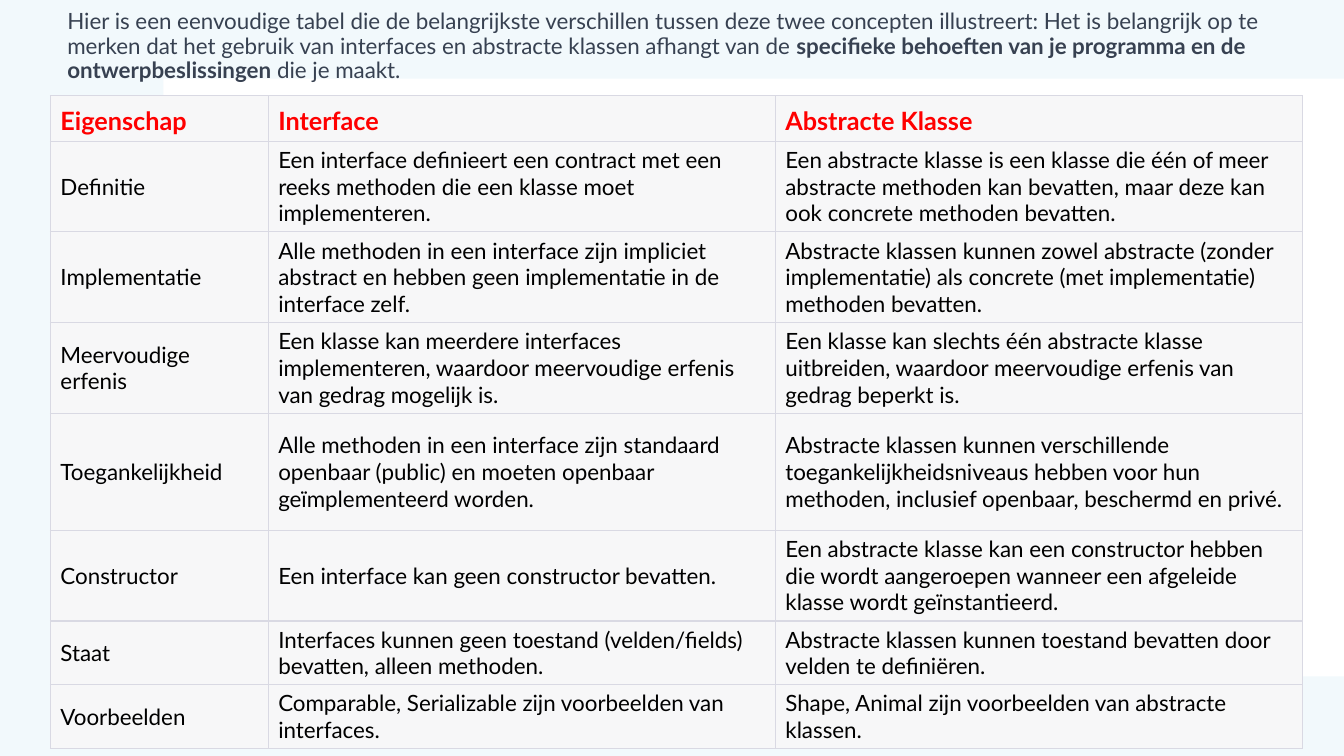
from lxml.etree import SubElement
from pptx import Presentation
from pptx.dml.color import RGBColor
from pptx.enum.shapes import MSO_SHAPE
from pptx.enum.text import MSO_ANCHOR
from pptx.oxml.ns import qn
from pptx.util import Inches, Pt

FONT = "Lato"
INTRO = [
    ("Hier is een eenvoudige tabel die de belangrijkste verschillen tussen deze twee "
     "concepten illustreert: Het is belangrijk op te merken dat het gebruik van "
     "interfaces en abstracte klassen afhangt van de ", False),
    ("specifieke behoeften van je programma en de ontwerpbeslissingen", True),
    (" die je maakt.", False),
]
COLUMN_WIDTHS = [2.16, 5.03, 5.23]
ROWS = [
    (0.45, "Eigenschap", "Interface", "Abstracte Klasse"),
    (0.9, "Definitie",
     "Een interface definieert een contract met een reeks methoden die een klasse "
     "moet implementeren.",
     "Een abstracte klasse is een klasse die één of meer abstracte methoden kan "
     "bevatten, maar deze kan ook concrete methoden bevatten."),
    (0.9, "Implementatie",
     "Alle methoden in een interface zijn impliciet abstract en hebben geen "
     "implementatie in de interface zelf.",
     "Abstracte klassen kunnen zowel abstracte (zonder implementatie) als concrete "
     "(met implementatie) methoden bevatten."),
    (0.9, "Meervoudige erfenis",
     "Een klasse kan meerdere interfaces implementeren, waardoor meervoudige erfenis "
     "van gedrag mogelijk is.",
     "Een klasse kan slechts één abstracte klasse uitbreiden, waardoor meervoudige "
     "erfenis van gedrag beperkt is."),
    (1.16, "Toegankelijkheid",
     "Alle methoden in een interface zijn standaard openbaar (public) en moeten "
     "openbaar geïmplementeerd worden.",
     "Abstracte klassen kunnen verschillende toegankelijkheidsniveaus hebben voor hun "
     "methoden, inclusief openbaar, beschermd en privé."),
    (0.9, "Constructor",
     "Een interface kan geen constructor bevatten.",
     "Een abstracte klasse kan een constructor hebben die wordt aangeroepen wanneer "
     "een afgeleide klasse wordt geïnstantieerd."),
    (0.63, "Staat",
     "Interfaces kunnen geen toestand (velden/fields) bevatten, alleen methoden.",
     "Abstracte klassen kunnen toestand bevatten door velden te definiëren."),
    (0.63, "Voorbeelden",
     "Comparable, Serializable zijn voorbeelden van interfaces.",
     "Shape, Animal zijn voorbeelden van abstracte klassen."),
]


def paint(fill, color):
    fill.solid()
    fill.fore_color.rgb = RGBColor.from_string(color)


def add_span(para, text, size=16, color="000000", bold=False):
    span = para.add_run()
    span.text = text
    span.font.name = FONT
    span.font.size = Pt(size)
    span.font.bold = bold
    span.font.color.rgb = RGBColor.from_string(color)


def add_panel(page, left, top, width, height, color, opacity=100):
    panel = page.shapes.add_shape(MSO_SHAPE.RECTANGLE, Inches(left), Inches(top),
                                  Inches(width), Inches(height))
    panel.shadow.inherit = False
    panel.line.fill.background()
    paint(panel.fill, color)
    if opacity < 100:
        tint = panel.fill._xPr.find(".//" + qn("a:srgbClr"))
        SubElement(tint, qn("a:alpha"), val=str(opacity * 1000))


def add_intro(page):
    box = page.shapes.add_textbox(Inches(0.57), Inches(-0.26), Inches(12.14), Inches(1.45))
    frame = box.text_frame
    frame.word_wrap = True
    frame.vertical_anchor = MSO_ANCHOR.MIDDLE
    para = frame.paragraphs[0]
    para.line_spacing = 0.9
    for text, bold in INTRO:
        add_span(para, text, color="374151", bold=bold)


def add_borders(cell, color, widths):
    """Draw the cell's sides; must run before the cell gets its fill."""
    properties = cell._tc.get_or_add_tcPr()
    for side, width in widths.items():
        line = SubElement(properties, qn("a:ln" + side), w=str(Pt(width)))
        SubElement(SubElement(line, qn("a:solidFill")), qn("a:srgbClr"), val=color)


def add_comparison(page):
    heights = [row[0] for row in ROWS]
    table = page.shapes.add_table(len(ROWS), len(COLUMN_WIDTHS), Inches(0.5), Inches(0.95),
                                  Inches(sum(COLUMN_WIDTHS)), Inches(sum(heights))).table
    table.horz_banding = False
    for column, width in zip(table.columns, COLUMN_WIDTHS):
        column.width = Inches(width)
    for index, (height, *texts) in enumerate(ROWS):
        table.rows[index].height = Inches(height)
        header, last = index == 0, index == len(ROWS) - 1
        widths = {"L": 0.75, "R": 0.75, "T": 0.75 if header else 1, "B": 0.75 if last else 1}
        for cell, text in zip(table.rows[index].cells, texts):
            add_borders(cell, "D9D9E3", widths)
            paint(cell.fill, "F7F7F8")
            cell.vertical_anchor = MSO_ANCHOR.BOTTOM if header else MSO_ANCHOR.MIDDLE
            add_span(cell.text_frame.paragraphs[0], text, size=18 if header else 16,
                     color="FF0000" if header else "000000", bold=header)


def main():
    deck = Presentation()
    deck.slide_width, deck.slide_height = Inches(13.33), Inches(7.5)
    page = deck.slides.add_slide(deck.slide_layouts[6])
    add_panel(page, 0, 0, 13.33, 7.5, "DBEFF9", opacity=35)
    add_panel(page, 1.62, 0.78, 11.71, 5.93, "FFFFFF")
    add_intro(page)
    add_comparison(page)
    deck.save("out.pptx")


if __name__ == "__main__":
    main()
